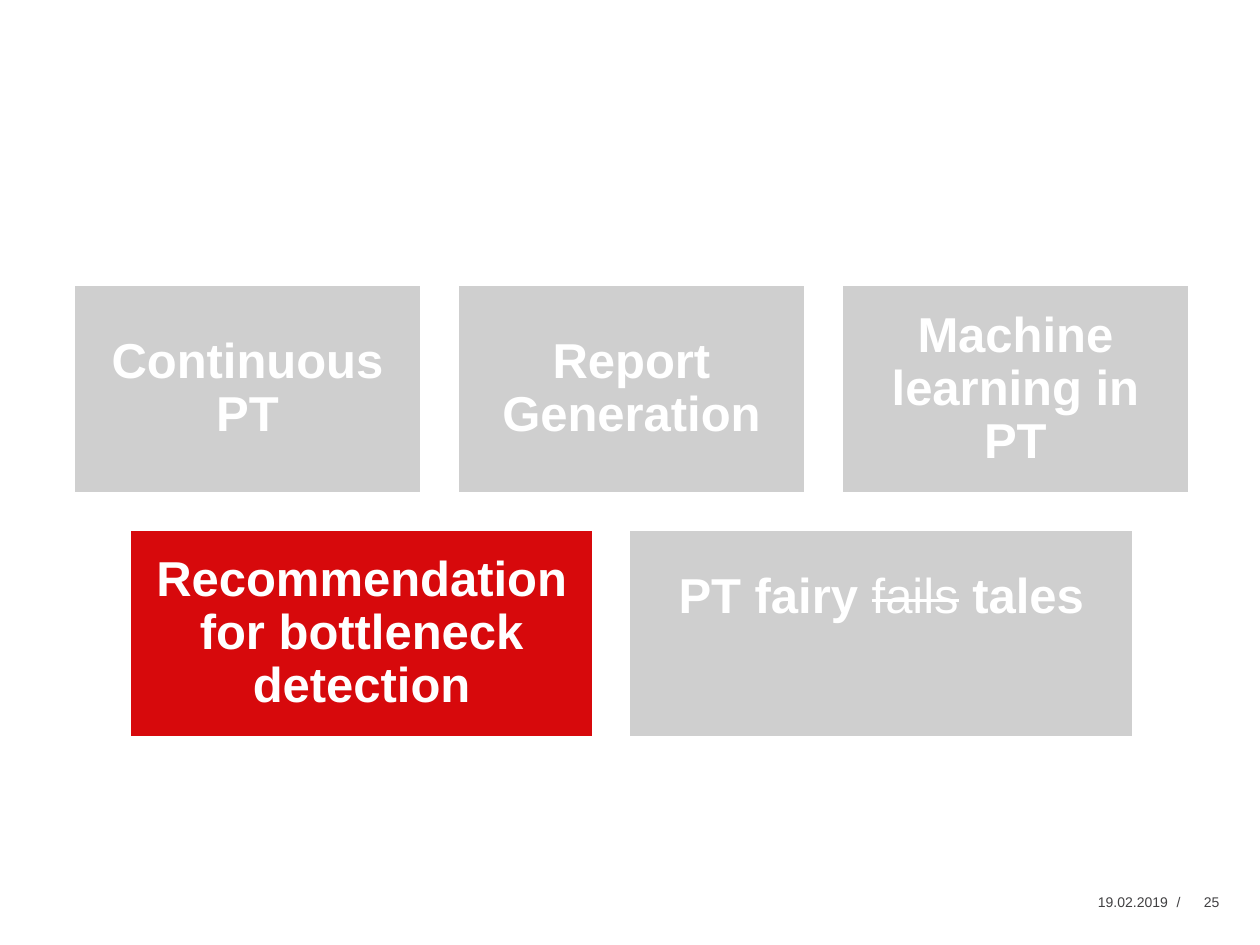
from lxml import etree
from pptx import Presentation
from pptx import util as u
from pptx.dml.color import RGBColor
from pptx.enum import shapes, text
from pptx.oxml import ns

COLORS = {"grey": "CFCFCF", "red": "D7090C", "white": "FFFFFF", "footer": "414042"}
FONT = "Arial"
ROW_CENTER = 12.73
ROWS_TOP = 5.74
TILE_HEIGHT = 4.22
GAP = 0.7
INSET = 0.3
THIRD_WIDTH = 7.04

# Each tile: width in cm, fill, runs as (words, struck out), extra inset below the text
TILE_ROWS = [
    [
        (THIRD_WIDTH, "grey", [("Continuous PT", False)], 0),
        (THIRD_WIDTH, "grey", [("Report Generation", False)], 0),
        (THIRD_WIDTH, "grey", [("Machine learning in PT", False)], 0),
    ],
    [
        (9.37, "red", [("Recommendation for bottleneck detection", False)], 0),
        (10.18, "grey", [("PT fairy ", False), ("fails", True), (" tales", False)], 1.45),
    ],
]


def color(name):
    return RGBColor.from_string(COLORS[name])


def set_insets(frame, inset, extra_bottom=0):
    frame.margin_left = frame.margin_right = frame.margin_top = u.Cm(inset)
    frame.margin_bottom = u.Cm(inset + extra_bottom)
    frame.vertical_anchor = text.MSO_ANCHOR.MIDDLE
    frame.word_wrap = True


def add_span(para, words, size, color_name, bold=False, struck=False):
    span = para.add_run()
    span.text = words
    span.font.name = FONT
    span.font.size = u.Pt(size)
    span.font.bold = bold
    span.font.color.rgb = color(color_name)
    if struck:
        span.font._element.set("strike", "sngStrike")


def add_tile(page, left, top, width, fill, spans, extra_bottom):
    tile = page.shapes.add_shape(
        shapes.MSO_SHAPE.RECTANGLE, u.Cm(left), u.Cm(top), u.Cm(width), u.Cm(TILE_HEIGHT)
    )
    tile.shadow.inherit = False
    tile.fill.solid()
    tile.fill.fore_color.rgb = color(fill)
    tile.line.color.rgb = color("white")
    tile.line.width = u.Pt(2)
    set_insets(tile.text_frame, INSET, extra_bottom)
    para = tile.text_frame.paragraphs[0]
    para.alignment = text.PP_ALIGN.CENTER
    para.line_spacing = 0.9
    for words, struck in spans:
        add_span(para, words, 28, "white", bold=not struck, struck=struck)


def add_tile_row(page, top, tiles):
    """Place tiles side by side, centred as a row."""
    total = sum(tile[0] for tile in tiles) + GAP * (len(tiles) - 1)
    left = ROW_CENTER - total / 2
    for width, fill, spans, extra_bottom in tiles:
        add_tile(page, left, top, width, fill, spans, extra_bottom)
        left += width + GAP


def add_footer(page, left, width, words, align):
    box = page.shapes.add_textbox(u.Cm(left), u.Cm(17.88), u.Cm(width), u.Cm(0.61))
    set_insets(box.text_frame, 0)
    para = box.text_frame.paragraphs[0]
    para.alignment = align
    add_span(para, words, 8, "footer")
    return para


def add_tab_stop(para, position):
    stops = etree.SubElement(para._p.get_or_add_pPr(), ns.qn("a:tabLst"))
    etree.SubElement(stops, ns.qn("a:tab"), pos=str(u.Cm(position)), algn="l")


def main():
    deck = Presentation()
    deck.slide_width, deck.slide_height = u.Cm(25.4), u.Cm(19.05)
    page = deck.slides.add_slide(deck.slide_layouts[6])
    for index, tiles in enumerate(TILE_ROWS):
        add_tile_row(page, ROWS_TOP + index * (TILE_HEIGHT + GAP), tiles)
    add_footer(page, 21.82, 1.73, "19.02.2019", text.PP_ALIGN.RIGHT)
    number = add_footer(page, 23.72, 0.95, "/\t25", text.PP_ALIGN.LEFT)
    add_tab_stop(number, 0.55)
    deck.save("out.pptx")


if __name__ == "__main__":
    main()
